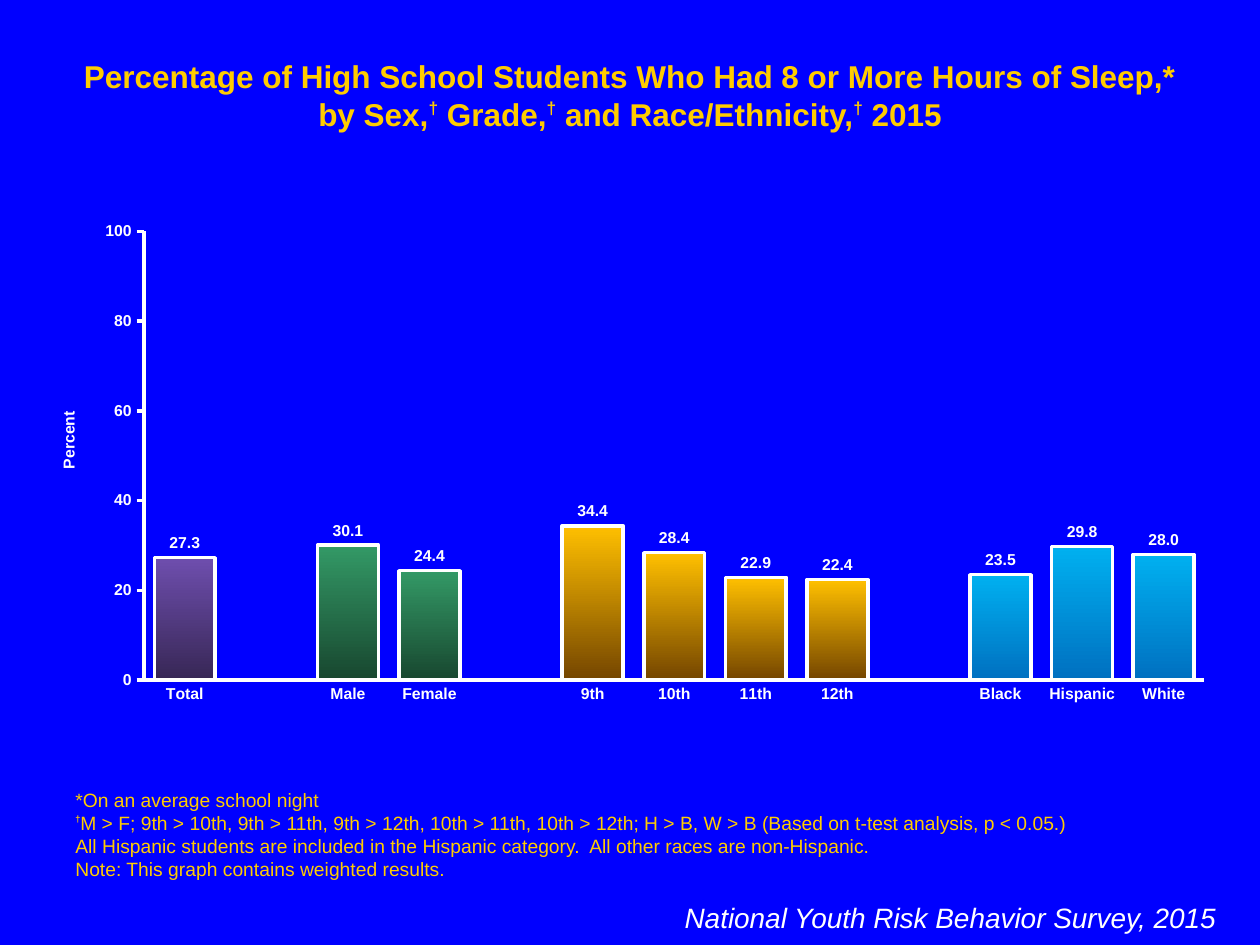
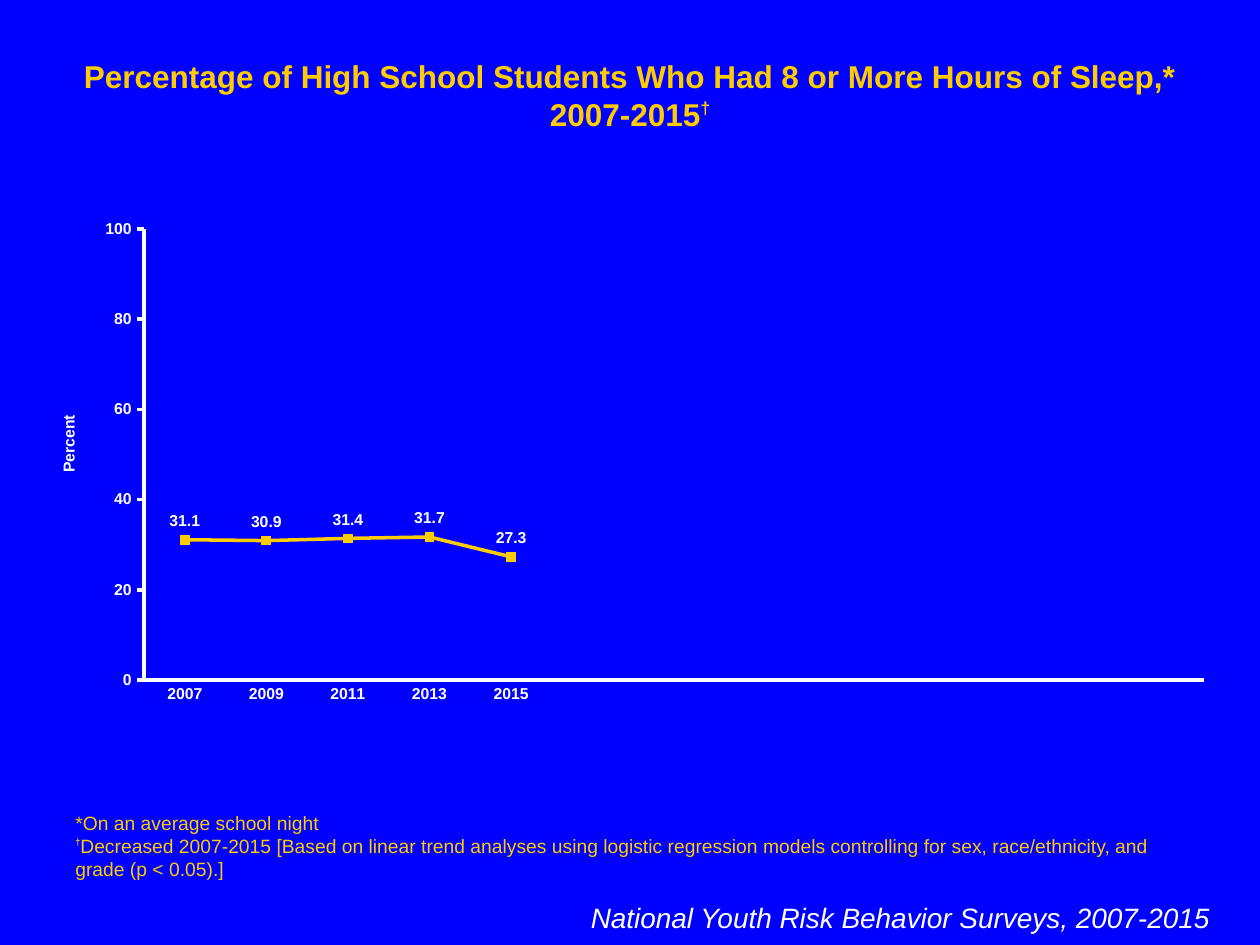
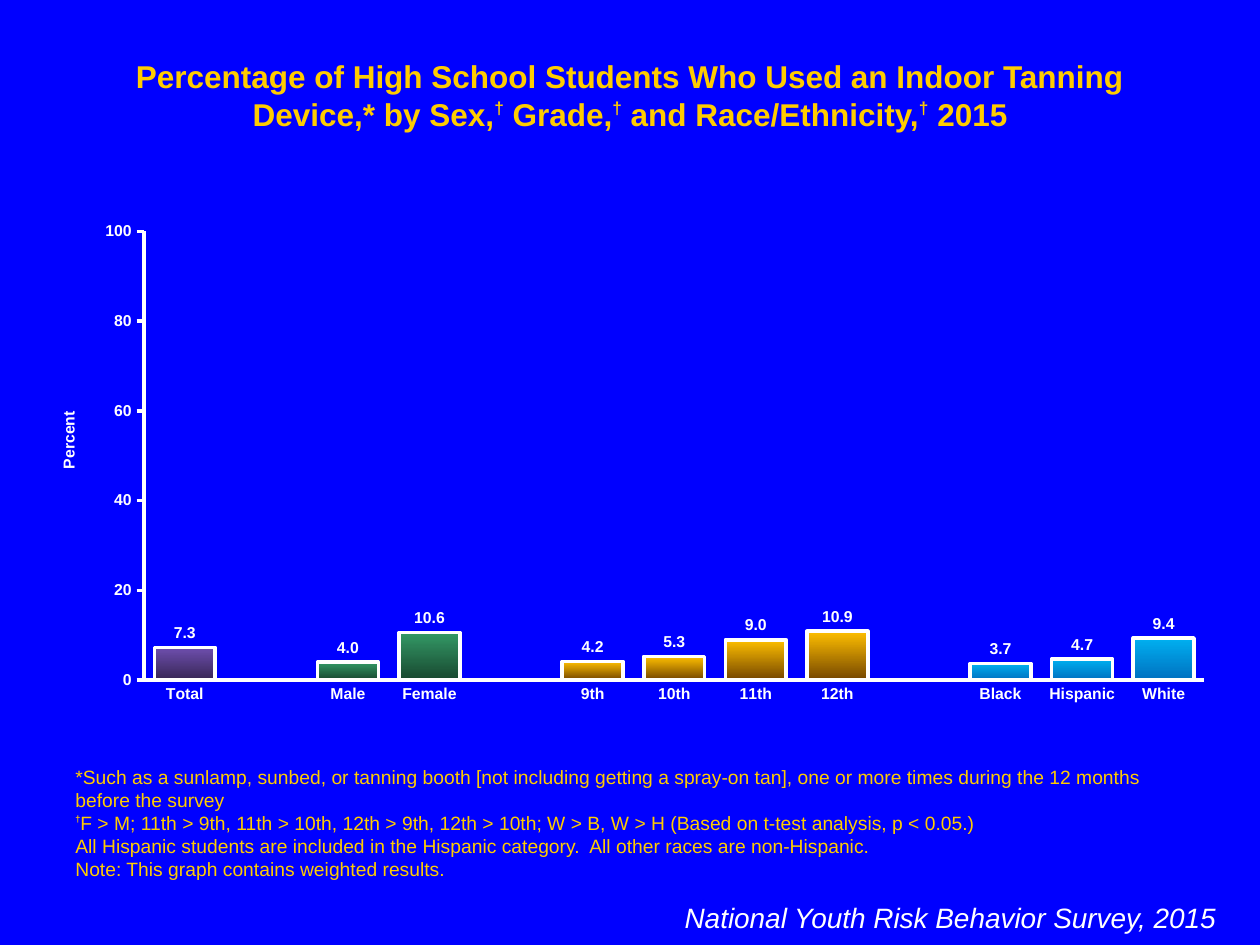
import dataclasses
from typing import Any, Optional

import pptx
import pptx.chart.data
import pptx.dml.color
import pptx.enum.chart
import pptx.enum.text
import pptx.oxml
import pptx.oxml.ns
import pptx.util

EMU_PER_PX = 9144  # 100 px to the inch
FONT = "Arial"
DAGGER = "†"
COLORS = {
    "background": "0000FF",
    "gold": "FFCC00",
    "white": "FFFFFF",
}
GRADIENTS = {
    "total": ("6E4EAE", "372755"),
    "sex": ("339966", "18472F"),
    "grade": ("FFC000", "744500"),
    "race": ("00B0F0", "0070C0"),
}
GROUPS = {
    "total": ["Total"],
    "sex": ["Male", "Female"],
    "grade": ["9th", "10th", "11th", "12th"],
    "race": ["Black", "Hispanic", "White"],
}
YEARS = ["2007", "2009", "2011", "2013", "2015"]
YEAR_SLOTS = 13
ALIGN = pptx.enum.text.PP_ALIGN
ANCHOR = pptx.enum.text.MSO_ANCHOR
CHART = pptx.enum.chart


@dataclasses.dataclass(frozen=True)
class Box:
    left: int
    top: int
    width: int
    height: int

    def emu(self) -> list[pptx.util.Emu]:
        return [pptx.util.Emu(v * EMU_PER_PX) for v in dataclasses.astuple(self)]


@dataclasses.dataclass(frozen=True)
class SurveySlide:
    title: str
    notes: list[str]
    survey: str
    survey_box: Box
    values: list[float]
    is_trend: bool = False


TITLE_BOX = Box(50, 40, 900, 40)
NOTES_BOX = Box(50, 675, 900, 29)
YEAR_SURVEY_BOX = Box(425, 710, 550, 64)
TREND_SURVEY_BOX = Box(453, 710, 517, 37)
BAR_BOX = Box(25, 169, 950, 398)
TREND_BOX = Box(25, 167, 950, 400)

SURVEY_2015 = "National Youth Risk Behavior Survey, 2015"
WEIGHTED_NOTES = [
    "All Hispanic students are included in the Hispanic category.  "
    "All other races are non-Hispanic.",
    "Note: This graph contains weighted results.",
]
SLIDES = [
    SurveySlide(
        "Percentage of High School Students Who Had 8 or More Hours of Sleep,* "
        "by Sex,† Grade,† and Race/Ethnicity,† 2015",
        [
            "*On an average school night",
            "†M > F; 9th > 10th, 9th > 11th, 9th > 12th, 10th > 11th, 10th > 12th; "
            "H > B, W > B (Based on t-test analysis, p < 0.05.)",
            *WEIGHTED_NOTES,
        ],
        SURVEY_2015,
        YEAR_SURVEY_BOX,
        [27.3, 30.1, 24.4, 34.4, 28.4, 22.9, 22.4, 23.5, 29.8, 28.0],
    ),
    SurveySlide(
        "Percentage of High School Students Who Had 8 or More Hours of Sleep,* 2007-2015†",
        [
            "*On an average school night",
            "†Decreased 2007-2015 [Based on linear trend analyses using logistic "
            "regression models controlling for sex, race/ethnicity, and grade (p < 0.05).]",
        ],
        "National Youth Risk Behavior Surveys, 2007-2015",
        TREND_SURVEY_BOX,
        [31.1, 30.9, 31.4, 31.7, 27.3],
        is_trend=True,
    ),
    SurveySlide(
        "Percentage of High School Students Who Used an Indoor Tanning Device,* "
        "by Sex,† Grade,† and Race/Ethnicity,† 2015",
        [
            "*Such as a sunlamp, sunbed, or tanning booth [not including getting a "
            "spray-on tan], one or more times during the 12 months before the survey",
            "†F > M; 11th > 9th, 11th > 10th, 12th > 9th, 12th > 10th; "
            "W > B, W > H (Based on t-test analysis, p < 0.05.)",
            *WEIGHTED_NOTES,
        ],
        SURVEY_2015,
        YEAR_SURVEY_BOX,
        [7.3, 4.0, 10.6, 4.2, 5.3, 9.0, 10.9, 3.7, 4.7, 9.4],
    ),
]


def rgb(hex_color: str) -> pptx.dml.color.RGBColor:
    return pptx.dml.color.RGBColor.from_string(hex_color)


def format_font(font: Any, size: int, color: str, bold: bool = False,
                italic: bool = False) -> None:
    font.name = FONT
    font.size = pptx.util.Pt(size)
    font.bold = bold
    font.italic = italic
    font.color.rgb = rgb(COLORS[color])


def write_text(sp: Any, lines: list[str], *, size: int, color: str = "gold",
               bold: bool = False, italic: bool = False,
               align: ALIGN = ALIGN.LEFT, anchor: ANCHOR = ANCHOR.TOP,
               dagger_size: int = 9, dagger_raise: int = 50) -> None:
    """Write one paragraph per line, with every dagger raised."""
    tf = sp.text_frame
    tf.word_wrap = True
    tf.auto_size = pptx.enum.text.MSO_AUTO_SIZE.SHAPE_TO_FIT_TEXT
    tf.vertical_anchor = anchor
    for i, line in enumerate(lines):
        p = tf.paragraphs[0] if i == 0 else tf.add_paragraph()
        p.alignment = align
        for text in line.replace(DAGGER, f"\n{DAGGER}\n").split("\n"):
            if not text:
                continue
            r = p.add_run()
            r.text = text
            if text == DAGGER:
                format_font(r.font, dagger_size, color, True, italic)
                r._r.get_or_add_rPr().set("baseline", str(dagger_raise * 1000))
            else:
                format_font(r.font, size, color, bold, italic)


def set_layout(parent: Any, index: int, target: str = "", **fractions: float) -> None:
    """Place a chart part by fractions of the chart's size."""
    for old in parent.findall(pptx.oxml.ns.qn("c:layout")):
        parent.remove(old)
    inner = f'<c:layoutTarget val="{target}"/>' if target else ""
    inner += "".join(f'<c:{k}Mode val="edge"/>' for k in ("x", "y"))
    inner += "".join(f'<c:{k} val="{v}"/>' for k, v in fractions.items())
    parent.insert(index, pptx.oxml.parse_xml(
        f'<c:layout {pptx.oxml.ns.nsdecls("c")}>'
        f"<c:manualLayout>{inner}</c:manualLayout></c:layout>"))


def set_line(line: Any, color: str) -> None:
    line.color.rgb = rgb(COLORS[color])
    line.width = pptx.util.Pt(2)


def format_axes(chart: Any, number_format: str, title_y: float) -> None:
    cat, val = chart.category_axis, chart.value_axis
    cat.major_tick_mark = CHART.XL_TICK_MARK.NONE
    val.major_tick_mark = CHART.XL_TICK_MARK.OUTSIDE
    for axis in (cat, val):
        axis.has_major_gridlines = False
        axis.minor_tick_mark = CHART.XL_TICK_MARK.NONE
        set_line(axis.format.line, "white")
        format_font(axis.tick_labels.font, 9, "white", bold=True)
    val.minimum_scale, val.maximum_scale, val.major_unit = 0, 100, 20
    val.tick_labels.number_format = number_format
    val.tick_labels.number_format_is_linked = False
    tf = val.axis_title.text_frame
    r = tf.paragraphs[0].add_run()
    r.text = "Percent"
    format_font(r.font, 9, "white", bold=True)
    tf._txBody.bodyPr.set("rot", "-5400000")
    tf._txBody.bodyPr.set("vert", "horz")
    set_layout(val.axis_title._element, 1, x=0.02, y=title_y)


def add_percent_chart(s: Any, kind: CHART.XL_CHART_TYPE, box: Box, cats: list[str],
                      vals: list[Optional[float]], label_position: CHART.XL_LABEL_POSITION,
                      number_format: str, title_y: float) -> Any:
    data = pptx.chart.data.CategoryChartData()
    data.categories = cats
    data.add_series("Series 1", vals)
    chart = s.shapes.add_chart(kind, *box.emu(), data).chart
    chart.has_legend = False
    chart.has_title = False
    format_font(chart.font, 18, "white")
    format_axes(chart, number_format, title_y)
    plot = chart.plots[0]
    plot.vary_by_categories = False
    plot.has_data_labels = True
    labels = plot.data_labels
    labels.show_value = True
    labels.number_format = "#,##0.0"
    labels.number_format_is_linked = False
    labels.position = label_position
    format_font(labels.font, 9, "white", bold=True)
    plot_area = chart._chartSpace.chart.plotArea
    set_layout(plot_area, 0, "inner", x=0.094, y=0.037, w=0.886, h=0.895)
    return chart


def add_group_bars(s: Any, values: list[float]) -> None:
    """Draw one bar per subgroup, with an empty slot between groups."""
    remaining = iter(values)
    cats, vals, groups = [], [], []
    for group, names in GROUPS.items():
        if cats:
            cats.append("")
            vals.append(None)
            groups.append(None)
        for name in names:
            cats.append(name)
            vals.append(next(remaining))
            groups.append(group)
    chart = add_percent_chart(
        s, CHART.XL_CHART_TYPE.COLUMN_CLUSTERED, BAR_BOX, cats, vals,
        CHART.XL_LABEL_POSITION.OUTSIDE_END, "General", 0.39)
    plot = chart.plots[0]
    plot.gap_width, plot.overlap = 34, 100
    series = plot.series[0]
    for i, group in enumerate(groups):
        if group is None:
            continue
        bar = series.points[i].format
        bar.fill.gradient()
        bar.fill.gradient_angle = 270
        for stop, color in zip(bar.fill.gradient_stops, GRADIENTS[group]):
            stop.color.rgb = rgb(color)
        set_line(bar.line, "white")


def add_trend_line(s: Any, values: list[float]) -> None:
    empty = YEAR_SLOTS - len(YEARS)
    chart = add_percent_chart(
        s, CHART.XL_CHART_TYPE.LINE_MARKERS, TREND_BOX, YEARS + [""] * empty,
        values + [None] * empty, CHART.XL_LABEL_POSITION.ABOVE, "#,##0", 0.4)
    series = chart.plots[0].series[0]
    series.smooth = False
    set_line(series.format.line, "gold")
    marker = series.marker
    marker.style = CHART.XL_MARKER_STYLE.SQUARE
    marker.size = 5
    marker.format.fill.solid()
    marker.format.fill.fore_color.rgb = rgb(COLORS["gold"])
    marker.format.line.color.rgb = rgb(COLORS["gold"])


def add_survey_slide(prs: Any, content: SurveySlide) -> None:
    s = prs.slides.add_slide(prs.slide_layouts[5])
    title = s.shapes.title
    title.left, title.top, title.width, title.height = TITLE_BOX.emu()
    write_text(title, [content.title], size=18, bold=True, align=ALIGN.CENTER,
               dagger_size=17, dagger_raise=40)
    write_text(s.shapes.add_textbox(*NOTES_BOX.emu()), content.notes, size=11,
               anchor=ANCHOR.BOTTOM)
    write_text(s.shapes.add_textbox(*content.survey_box.emu()), [content.survey],
               size=16, color="white", italic=True, align=ALIGN.RIGHT)
    add_chart = add_trend_line if content.is_trend else add_group_bars
    add_chart(s, content.values)


def main() -> None:
    prs = pptx.Presentation()
    prs.slide_width = pptx.util.Emu(1000 * EMU_PER_PX)
    prs.slide_height = pptx.util.Emu(750 * EMU_PER_PX)
    fill = prs.slide_master.background.fill
    fill.solid()
    fill.fore_color.rgb = rgb(COLORS["background"])
    for content in SLIDES:
        add_survey_slide(prs, content)
    prs.save("out.pptx")


if __name__ == "__main__":
    main()
